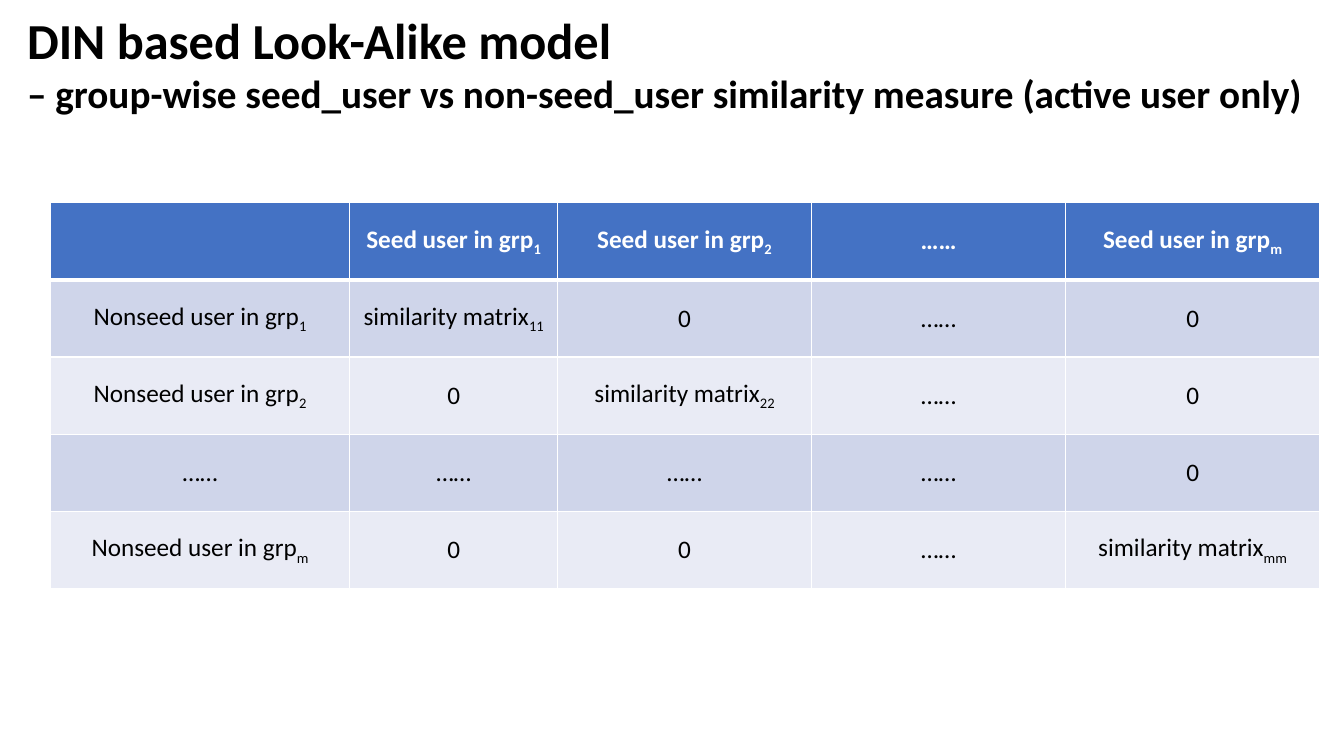
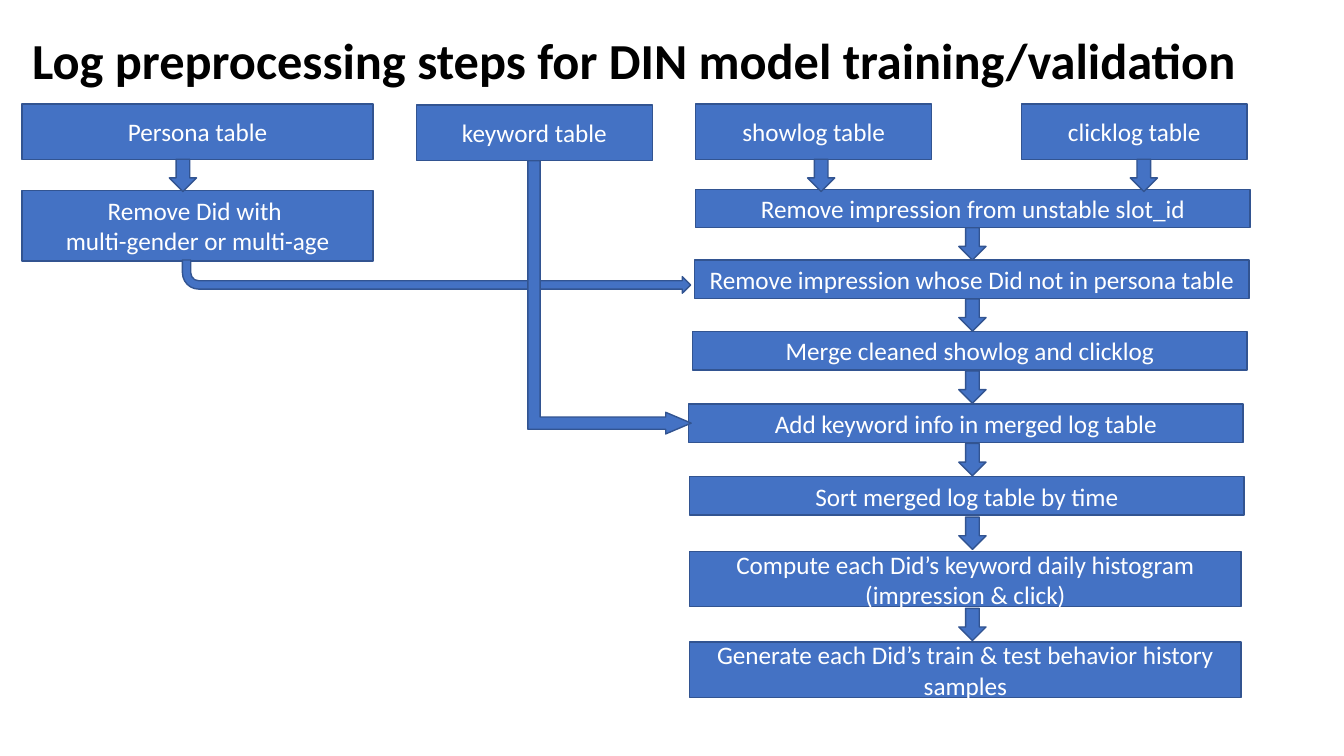
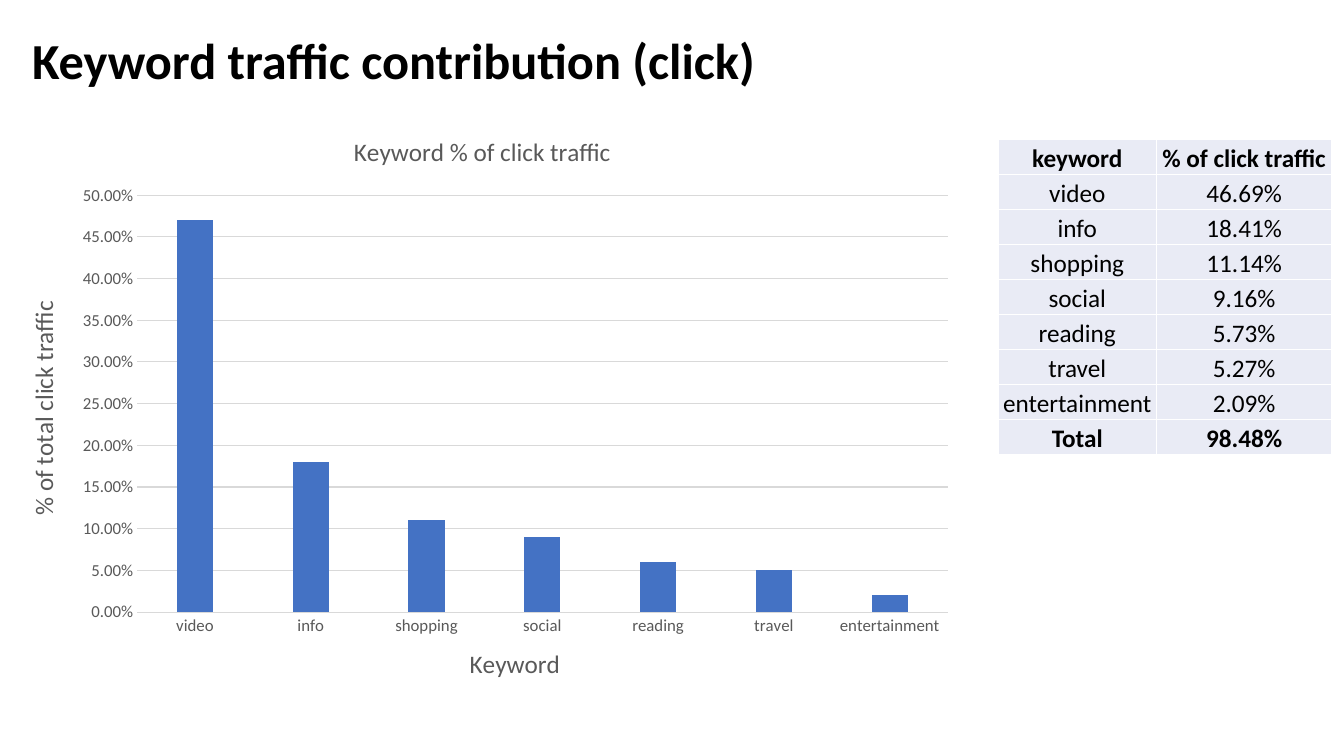
import pptx
import pptx.chart.data
import pptx.dml.color
import pptx.enum.chart
import pptx.enum.shapes
import pptx.enum.text
import pptx.oxml
import pptx.oxml.ns
import pptx.util

Inches = pptx.util.Inches
Pt = pptx.util.Pt
Shape = pptx.enum.shapes.MSO_SHAPE
Anchor = pptx.enum.text.MSO_ANCHOR
CENTER = pptx.enum.text.PP_ALIGN.CENTER
qn = pptx.oxml.ns.qn

HUES = {
    "blue": "4472C4", "edge": "325491", "band": "CFD5EA", "pale": "E9EBF5",
    "white": "FFFFFF", "black": "000000", "gray": "595959", "grid": "D9D9D9",
}
FONT = "Calibri"
ARROW = (0.27, 0.32)


def hue(name):
    return pptx.dml.color.RGBColor.from_string(HUES[name])


def style(font, size, color, bold=False):
    font.name = FONT
    font.size = Pt(size)
    font.bold = bold
    font.color.rgb = hue(color)


def paint(part, color):
    part.fill.solid()
    part.fill.fore_color.rgb = hue(color)


def border(cell, low):
    """Give a cell white 1 pt borders, with a bottom border of low points."""
    props = cell._tc.get_or_add_tcPr()
    sides = {"lnL": 1, "lnR": 1, "lnT": 1, "lnB": low}
    for spot, (tag, width) in enumerate(sides.items()):
        props.insert(spot, pptx.oxml.parse_xml(
            f'<a:{tag} {pptx.oxml.ns.nsdecls("a")} w="{Pt(width)}"><a:solidFill>'
            f'<a:srgbClr val="{HUES["white"]}"/></a:solidFill></a:{tag}>'))


def place(part, spot, target="", **ratios):
    """Fix a chart part at the given fractions of the chart area."""
    for old in part.findall(qn("c:layout")):
        part.remove(old)
    modes = "".join(f'<c:{key}Mode val="edge"/>' for key in "xy")
    sizes = "".join(f'<c:{key} val="{val}"/>' for key, val in ratios.items())
    part.insert(spot, pptx.oxml.parse_xml(
        f'<c:layout {pptx.oxml.ns.nsdecls("c")}><c:manualLayout>'
        f'{target}{modes}{sizes}</c:manualLayout></c:layout>'))


class Deck:
    def __init__(self):
        self.file = pptx.Presentation()
        self.file.slide_width = Inches(13.33)
        self.file.slide_height = Inches(7.5)
        self.slide = None

    def start(self, title, sub="", at=(0.22, 0.24, 12.9, 0.71)):
        """Add a slide with its title and, if given, a smaller second line."""
        self.slide = self.file.slides.add_slide(self.file.slide_layouts[6])
        frame = self.slide.shapes.add_textbox(*map(Inches, at)).text_frame
        frame.word_wrap = True
        frame.text = f"{title}\n{sub}" if sub else title
        for para, size in zip(frame.paragraphs, (36, 28)):
            style(para.runs[0].font, size, "black", True)

    def shape(self, kind, at, adjust=()):
        item = self.slide.shapes.add_shape(kind, *map(Inches, at))
        item.shadow.inherit = False
        paint(item, "blue")
        item.line.color.rgb = hue("edge")
        item.line.width = Pt(1)
        for spot, val in enumerate(adjust):
            item.adjustments[spot] = val
        return item

    def box(self, text, *at):
        frame = self.shape(Shape.RECTANGLE, at).text_frame
        frame.word_wrap = True
        frame.vertical_anchor = Anchor.MIDDLE
        frame.text = text
        for para in frame.paragraphs:
            para.alignment = CENTER
            style(para.runs[0].font, 18, "white")

    def drop(self, left, upper, lower):
        """Centre a down arrow in the gap from upper to lower."""
        wide, high = ARROW
        top = (upper + lower - high) / 2
        self.shape(Shape.DOWN_ARROW, (left, top, wide, high))

    def table(self, rows, at, widths, high, look, inset=None):
        """Draw rows; text after ~ is subscript, look(row) gives the row style."""
        left, top = at
        size = (sum(widths), high)
        grid = self.slide.shapes.add_table(
            len(rows), len(widths), *map(Inches, (left, top, *size))).table
        for col, width in zip(grid.columns, widths):
            col.width = Inches(width)
        for num, row in enumerate(rows):
            grid.rows[num].height = Inches(high / len(rows))
            fill, color, bold, low = look(num)
            for spot, text in enumerate(row):
                cell = grid.cell(num, spot)
                paint(cell, fill)
                border(cell, low)
                cell.vertical_anchor = Anchor.MIDDLE
                if inset is not None:
                    cell.vertical_anchor = Anchor.BOTTOM
                    cell.margin_left = cell.margin_right = Inches(inset)
                    cell.margin_top, cell.margin_bottom = Inches(inset), 0
                main, _, sub = text.partition("~")
                para = cell.text_frame.paragraphs[0]
                para.text = main
                para.alignment = CENTER
                if sub:
                    run = para.add_run()
                    run.text = sub
                    run.font._element.set("baseline", "-25000")
                for run in para.runs:
                    style(run.font, 18, color, bold)

    def chart(self, pairs, at, title, across, up):
        data = pptx.chart.data.CategoryChartData(number_format="0.00%")
        data.categories = [name for name, _ in pairs]
        data.add_series("Series 1", [val for _, val in pairs])
        kind = pptx.enum.chart.XL_CHART_TYPE.COLUMN_CLUSTERED
        chart = self.slide.shapes.add_chart(
            kind, *map(Inches, at), data).chart
        style(chart.font, 10, "black")
        chart.has_legend = False
        chart.has_title = True
        plot = chart.plots[0]
        plot.gap_width, plot.overlap = 219, -27
        plot.vary_by_categories = False
        paint(plot.series[0].format, "blue")

        cats, vals = chart.category_axis, chart.value_axis
        for axis in (cats, vals):
            axis.has_title = True
            axis.major_tick_mark = pptx.enum.chart.XL_TICK_MARK.NONE
            style(axis.tick_labels.font, 12, "gray")
        vals.minimum_scale, vals.maximum_scale, vals.major_unit = 0, 0.5, 0.05
        vals.tick_labels.number_format = "0.00%"
        vals.tick_labels.number_format_is_linked = False
        vals.format.line.fill.background()
        for line in (cats.format.line, vals.major_gridlines.format.line):
            line.color.rgb = hue("grid")
            line.width = Pt(0.75)

        heads = ((chart.chart_title, title, 0.36, 0.03),
                 (cats.axis_title, across, 0.48, 0.89),
                 (vals.axis_title, up, 0.02, 0.31))
        for head, text, x, y in heads:
            head.text_frame.text = text
            style(head.text_frame.paragraphs[0].runs[0].font, 18, "gray")
            place(head._element, 1, x=x, y=y)
        place(chart._chartSpace.chart.plotArea, 0,
              '<c:layoutTarget val="inner"/>', x=0.14, y=0.14, w=0.84, h=0.7)


def matrix(deck):
    deck.start("DIN based Look-Alike model",
               "– group-wise seed_user vs non-seed_user similarity measure "
               "(active user only)", (0.17, 0.04, 12.91, 1.18))
    dots = "……"
    rows = [
        ["", "Seed user in grp~1", "Seed user in grp~2", dots,
         "Seed user in grp~m"],
        ["Nonseed user in grp~1", "similarity matrix~11", "0", dots, "0"],
        ["Nonseed user in grp~2", "0", "similarity matrix~22", dots, "0"],
        [dots] * 4 + ["0"],
        ["Nonseed user in grp~m", "0", "0", dots, "similarity matrix~mm"],
    ]

    def look(num):
        if num == 0:
            return "blue", "white", True, 3
        return ("band" if num % 2 else "pale"), "black", False, 1

    deck.table(rows, (0.5, 2.01), [2.97, 2.06] + [2.52] * 3, 3.83, look)


def flow(deck):
    deck.start("Log preprocessing steps for DIN model training/validation")
    deck.box("Persona table", 0.22, 1.03, 3.48, 0.55)
    deck.box("Remove Did with \nmulti-gender or multi-age",
             0.22, 1.89, 3.48, 0.7)
    deck.box("keyword table", 4.13, 1.04, 2.34, 0.55)
    deck.box("showlog table", 6.9, 1.03, 2.34, 0.55)
    deck.box("clicklog table", 10.13, 1.03, 2.24, 0.55)
    steps = [
        ("Remove impression from unstable slot_id", 6.9, 1.88, 5.5, 0.38),
        ("Remove impression whose Did not in persona table",
         6.89, 2.58, 5.5, 0.38),
        ("Merge cleaned showlog and clicklog", 6.87, 3.29, 5.5, 0.38),
        ("Add keyword info in merged log table", 6.83, 4.01, 5.5, 0.38),
        ("Sort merged log table by time", 6.84, 4.73, 5.5, 0.38),
        ("Compute each Did’s keyword daily histogram (impression & click)",
         6.84, 5.47, 5.47, 0.55),
        ("Generate each Did’s train & test behavior history samples",
         6.84, 6.37, 5.47, 0.55),
    ]
    for step in steps:
        deck.box(*step)
    for left in (1.68, 8.01, 11.21):
        deck.drop(left, 1.58, 1.9)
    for step, after in zip(steps, steps[1:]):
        deck.drop(9.51, step[2] + step[4], after[2])

    turn = deck.shape(Shape.BENT_ARROW, (1.81, 2.58, 5.04, 0.33),
                      (0.25, 0.25, 0.25, 0.49))
    turn._element.spPr.find(qn("a:xfrm")).set("flipV", "1")
    elbow = deck.shape(Shape.BENT_UP_ARROW, (4.69, 2.14, 2.71, 1.62),
                       (0.075, 0.066, 0.156))
    elbow.rotation = 90


def traffic(deck):
    deck.start("Keyword traffic contribution (click)",
               at=(0.22, 0.24, 9.18, 0.71))
    shares = [("video", "46.69%"), ("info", "18.41%"),
              ("shopping", "11.14%"), ("social", "9.16%"),
              ("reading", "5.73%"), ("travel", "5.27%"),
              ("entertainment", "2.09%")]
    pairs = [(name, round(float(text.rstrip("%")) / 100, 2))
             for name, text in shares]
    deck.chart(pairs, (0.02, 1.11, 9.57, 5.91), "Keyword % of click traffic",
               "Keyword", "% of total click traffic")
    rows = [("keyword", "% of click traffic"), *shares, ("Total", "98.48%")]
    ends = (0, len(rows) - 1)
    deck.table(rows, (9.9, 1.38), [1.57, 1.74], 3.13,
               lambda num: ("pale", "black", num in ends, 1), 0.01)


def main():
    deck = Deck()
    for build in (matrix, flow, traffic):
        build(deck)
    deck.file.save("out.pptx")


if __name__ == "__main__":
    main()
